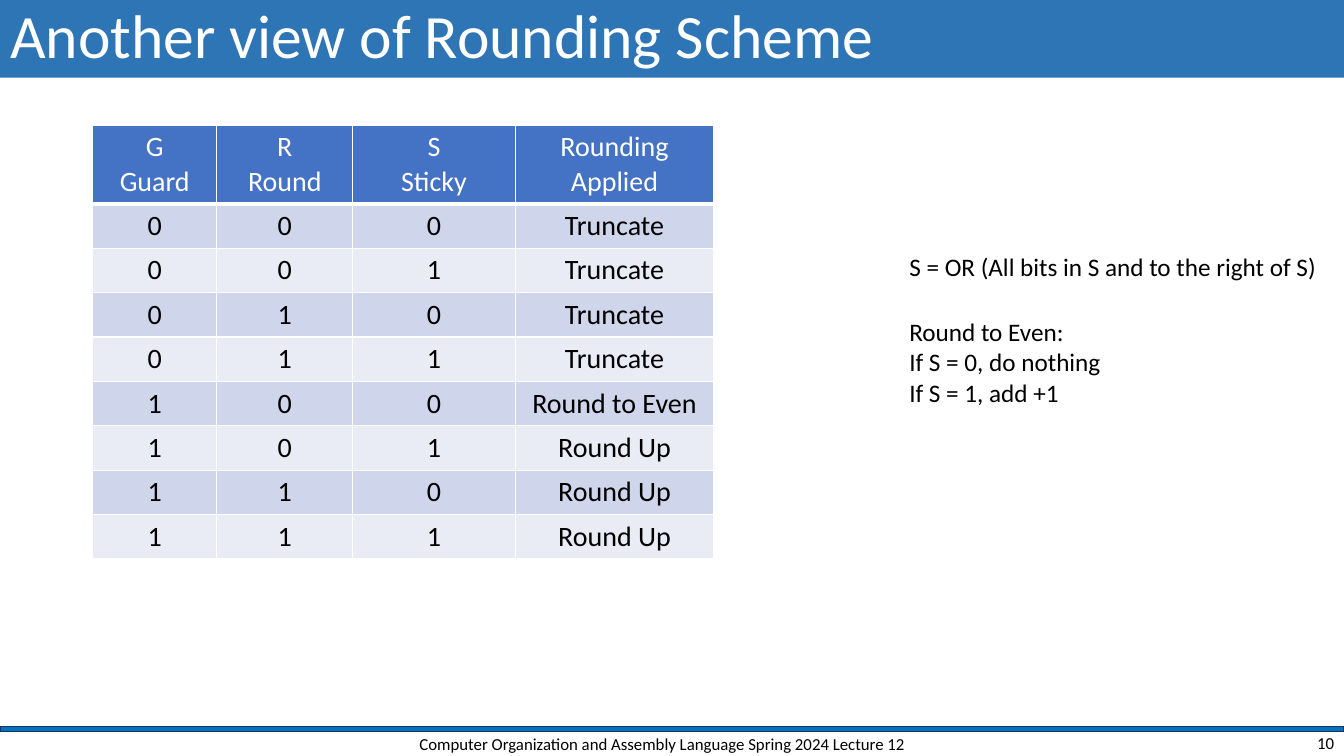
"""Build the rounding scheme slide with its guard, round and sticky bit table."""
from itertools import product

from lxml import etree
from pptx import Presentation
from pptx.dml.color import RGBColor
from pptx.enum.shapes import MSO_SHAPE as Shape
from pptx.enum.text import MSO_ANCHOR as Anchor, PP_ALIGN as Align
from pptx.oxml.ns import qn
from pptx.util import Inches, Pt

TITLE = "Another view of Rounding Scheme"
HEADINGS = [["G", "Guard"], ["R", "Round"], ["S", "Sticky"], ["Rounding Applied"]]
OUTCOMES = ["Truncate"] * 4 + ["Round to Even"] + ["Round Up"] * 3
COLUMN_WIDTHS = [1.23, 1.35, 1.61, 1.97]
HEADER_HEIGHT, ROW_HEIGHT = 0.78, 0.44
HEADER_FILL, BAND_FILLS = "4472C4", ["CFD5EA", "E9EBF5"]
NOTES = [
    ((8.92, 2.44, 4.29, 0.4), ["S = OR (All bits in S and to the right of S)"]),
    ((8.92, 3.09, 2.13, 1.01),
     ["Round to Even:", "If S = 0, do nothing", "If S = 1, add +1"]),
]
FOOTERS = [
    ((3.92, 7.24, 5.3, 0.28),
     ["Computer Organization and Assembly Language Spring 2024 Lecture 12"], Align.CENTER),
    ((10.33, 7.24, 3, 0.25), ["10"], Align.RIGHT),
]


def color(value):
    return RGBColor.from_string(value)


def paint(item, value):
    item.fill.solid()
    item.fill.fore_color.rgb = color(value)


def write(frame, lines, size=18, ink="000000", align=Align.LEFT, anchor=Anchor.TOP,
          wrap=True, spacing=None):
    frame.word_wrap = wrap
    frame.vertical_anchor = anchor
    for index, line in enumerate(lines):
        para = frame.paragraphs[0] if index == 0 else frame.add_paragraph()
        para.alignment = align
        para.line_spacing = spacing
        span = para.add_run()
        span.text = line
        span.font.name = "Calibri"
        span.font.size = Pt(size)
        span.font.bold = False
        span.font.color.rgb = color(ink)


def add_border(cell, sides):
    properties = cell._tc.get_or_add_tcPr()
    for position, (side, width) in enumerate(sides.items()):
        line = etree.Element(qn(f"a:ln{side}"), w=str(Pt(width)))
        fill = etree.SubElement(line, qn("a:solidFill"))
        etree.SubElement(fill, qn("a:srgbClr"), val="FFFFFF")
        properties.insert(position, line)


def add_title(page):
    title = page.shapes.title
    title.left, title.top = Inches(0), Inches(0)
    title.width, title.height = Inches(13.33), Inches(0.77)
    paint(title, "2E75B6")
    write(title.text_frame, [TITLE], size=44, ink="FFFFFF", anchor=Anchor.MIDDLE, spacing=0.9)


def add_rule(page):
    rule = page.shapes.add_shape(
        Shape.RECTANGLE, Inches(0), Inches(7.21), Inches(13.33), Inches(0.05))
    rule.shadow.inherit = False
    paint(rule, "0070C0")
    rule.line.color.rgb = color("1E3256")
    rule.line.width = Pt(1)


def add_rounding_table(page):
    body = [[[bit] for bit in bits] + [[outcome]]
            for bits, outcome in zip(product("01", repeat=3), OUTCOMES)]
    rows = [HEADINGS] + body
    height = HEADER_HEIGHT + ROW_HEIGHT * len(body)
    table = page.shapes.add_table(
        len(rows), len(COLUMN_WIDTHS), Inches(0.92), Inches(1.24),
        Inches(sum(COLUMN_WIDTHS)), Inches(height)).table
    for column, width in zip(table.columns, COLUMN_WIDTHS):
        column.width = Inches(width)
    for r, row in enumerate(rows):
        header = r == 0
        table.rows[r].height = Inches(HEADER_HEIGHT if header else ROW_HEIGHT)
        for c, lines in enumerate(row):
            cell = table.cell(r, c)
            paint(cell, HEADER_FILL if header else BAND_FILLS[(r - 1) % 2])
            add_border(cell, {"L": 1, "R": 1, "T": 3 if r == 1 else 1, "B": 3 if header else 1})
            write(cell.text_frame, lines, size=20, align=Align.CENTER,
                  ink="FFFFFF" if header else "000000")


def add_text(page, area, lines, **style):
    box = page.shapes.add_textbox(*map(Inches, area))
    write(box.text_frame, lines, **style)


def main():
    deck = Presentation()
    deck.slide_width, deck.slide_height = Inches(13.33), Inches(7.5)
    page = deck.slides.add_slide(deck.slide_layouts[5])
    add_rule(page)
    add_title(page)
    add_rounding_table(page)
    for area, lines, align in FOOTERS:
        add_text(page, area, lines, size=12, align=align, anchor=Anchor.MIDDLE)
    for area, lines in NOTES:
        add_text(page, area, lines, wrap=False)
    deck.save("out.pptx")


if __name__ == "__main__":
    main()
